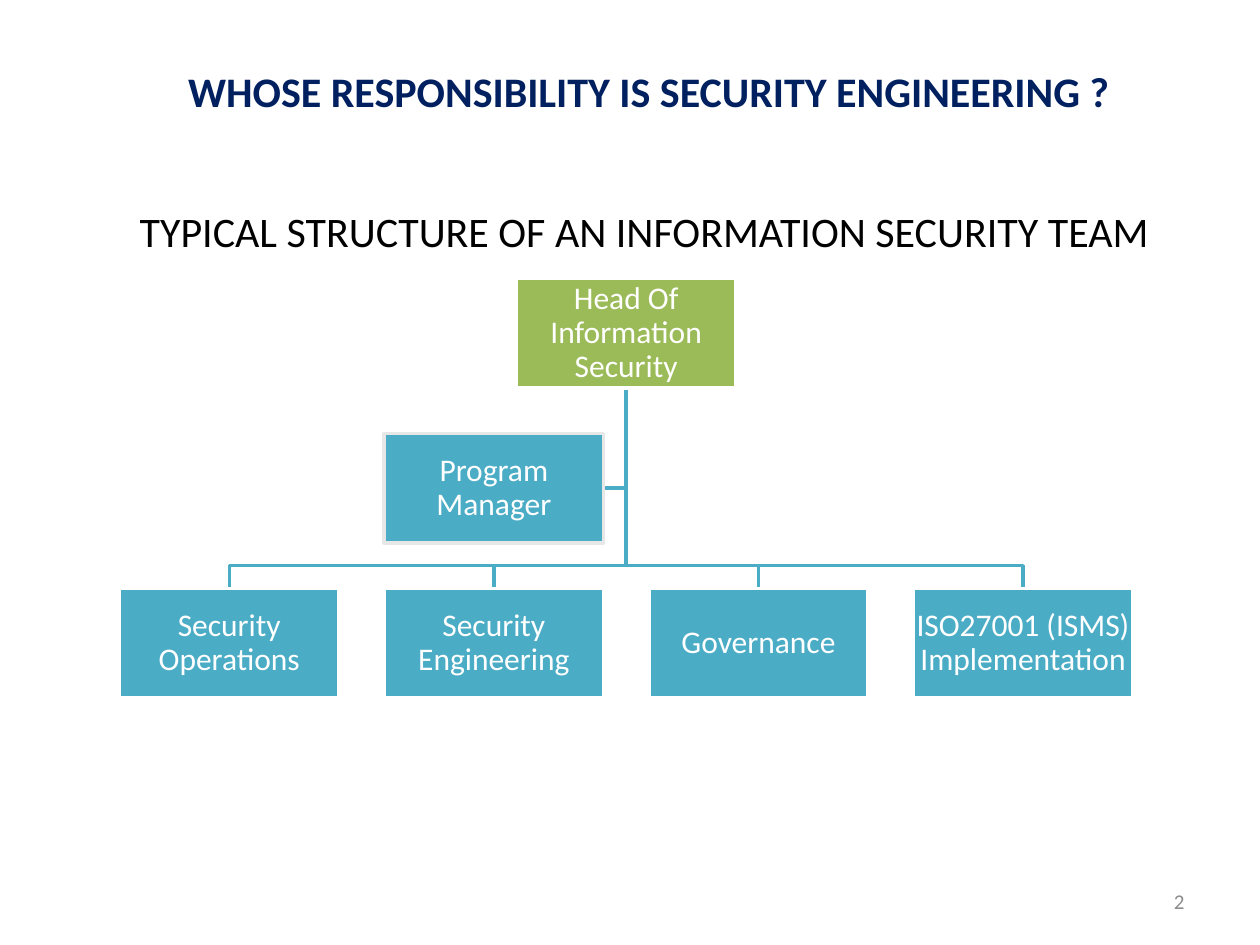
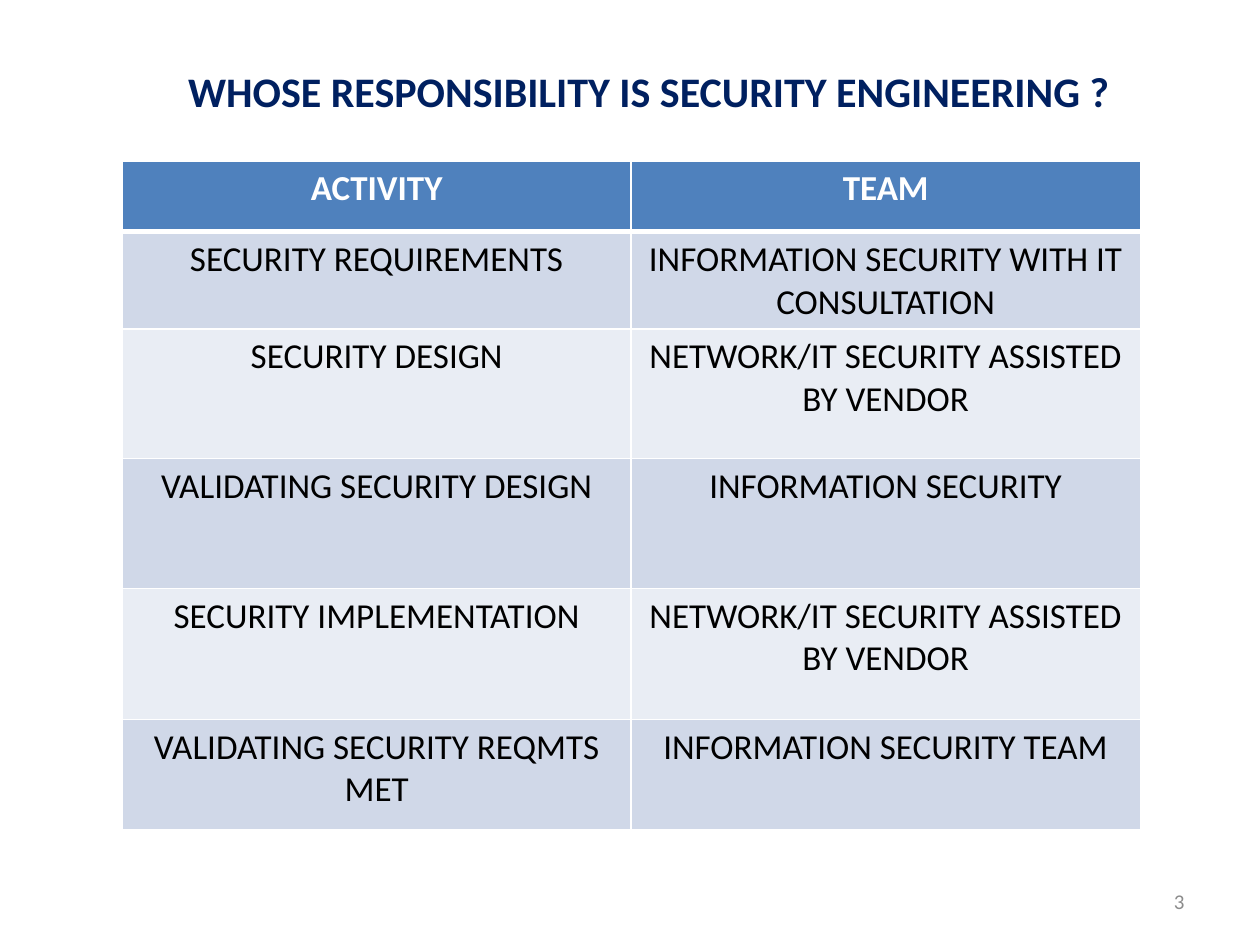
from lxml.etree import SubElement as Sub
from pptx import Presentation
from pptx.dml.color import RGBColor as RGB
from pptx.enum.shapes import MSO_SHAPE as Shape
from pptx.enum.text import MSO_ANCHOR as Anchor, PP_ALIGN as Align
from pptx.oxml.ns import qn
from pptx.util import Inches, Pt

TITLE = "WHOSE RESPONSIBILITY IS SECURITY ENGINEERING ?"
LEAD = "TYPICAL STRUCTURE OF AN INFORMATION SECURITY TEAM"
HEAD = "Head Of Information Security"
AIDE = "Program Manager"
TEAMS = ["Security Operations", "Security Engineering", "Governance",
         "ISO27001 (ISMS) Implementation"]
ROWS = [
    (0.56, "ACTIVITY", "TEAM"),
    (0.77, "SECURITY REQUIREMENTS", "INFORMATION SECURITY WITH IT CONSULTATION"),
    (1.03, "SECURITY DESIGN", "NETWORK/IT SECURITY ASSISTED BY VENDOR"),
    (1.03, "VALIDATING SECURITY DESIGN", "INFORMATION SECURITY"),
    (1.04, "SECURITY IMPLEMENTATION", "NETWORK/IT SECURITY ASSISTED BY VENDOR"),
    (0.88, "VALIDATING SECURITY REQMTS MET", "INFORMATION SECURITY TEAM"),
]

FONT = "Calibri"
NAVY = RGB(0x00, 0x20, 0x60)
BLACK = RGB(0, 0, 0)
WHITE = RGB(0xFF, 0xFF, 0xFF)
GRAY = RGB(0x8C, 0x8C, 0x8C)
PALE = RGB(0xE7, 0xE7, 0xE7)
GREEN = RGB(0x9B, 0xBB, 0x59)
TEAL = RGB(0x4B, 0xAC, 0xC6)
BLUE = RGB(0x4F, 0x81, 0xBD)
BANDS = [RGB(0xE9, 0xED, 0xF4), RGB(0xD0, 0xD8, 0xE8)]

BOX_W, BOX_H, STEP = 1.74, 0.87, 2.1
LEFT, HEAD_Y, AIDE_Y, TEAM_Y = 0.95, 2.21, 3.44, 4.67
BAR_Y = 4.49


def write(frame, text, size, color, align=Align.CENTER, bold=False):
    frame.text = text
    par = frame.paragraphs[0]
    par.alignment = align
    for run in par.runs:
        font = run.font
        font.name, font.size, font.bold = FONT, Pt(size), bold
        font.color.rgb = color


def add_text(slide, area, text, size, color, align=Align.CENTER,
             bold=False, anchor=Anchor.MIDDLE, wrap=True):
    frame = slide.shapes.add_textbox(*map(Inches, area)).text_frame
    frame.word_wrap = wrap
    frame.vertical_anchor = anchor
    write(frame, text, size, color, align, bold)


def add_page(deck, number):
    slide = deck.slides.add_slide(deck.slide_layouts[6])
    add_text(slide, (7.17, 6.95, 2.33, 0.4), str(number), 12, GRAY, Align.RIGHT)
    add_text(slide, (0.65, 0.23, 9, 0.98), TITLE, 24, NAVY, bold=True)
    return slide


def add_box(slide, x, y, text, fill=TEAL, edge=WHITE):
    box = slide.shapes.add_shape(
        Shape.RECTANGLE, *map(Inches, (x, y, BOX_W, BOX_H)))
    box.shadow.inherit = False
    box.fill.solid()
    box.fill.fore_color.rgb = fill
    box.line.color.rgb = edge
    box.line.width = Pt(2)
    frame = box.text_frame
    frame.word_wrap = True
    frame.vertical_anchor = Anchor.MIDDLE
    frame.margin_left = frame.margin_right = Inches(0.01)
    frame.margin_top = frame.margin_bottom = Inches(0.01)
    write(frame, text, 18, WHITE)
    frame.paragraphs[0].line_spacing = 0.9


def add_path(slide, points):
    first, *rest = [(Inches(x), Inches(y)) for x, y in points]
    pen = slide.shapes.build_freeform(*first)
    pen.add_line_segments(rest, close=False)
    path = pen.convert_to_shape()
    path.shadow.inherit = False
    path.fill.background()
    path.line.color.rgb = TEAL
    path.line.width = Pt(2)


def add_chart(slide):
    lefts = [LEFT + STEP * i for i in range(len(TEAMS))]
    head_x = (lefts[0] + lefts[-1]) / 2
    mid = head_x + BOX_W / 2
    top = HEAD_Y + BOX_H
    aide_x = lefts[1]
    aide_mid = AIDE_Y + BOX_H / 2
    add_path(slide, [(mid, top), (mid, aide_mid), (aide_x + BOX_W, aide_mid)])
    for x in lefts:
        end = x + BOX_W / 2
        add_path(slide, [(mid, top), (mid, BAR_Y), (end, BAR_Y), (end, TEAM_Y)])
    add_box(slide, head_x, HEAD_Y, HEAD, GREEN)
    for x, team in zip(lefts, TEAMS):
        add_box(slide, x, TEAM_Y, team)
    add_box(slide, aide_x, AIDE_Y, AIDE, edge=PALE)


def set_edges(cell, top, bottom):
    props = cell._tc.get_or_add_tcPr()
    for side, width in (("L", 1), ("R", 1), ("T", top), ("B", bottom)):
        line = Sub(props, qn("a:ln" + side), w=str(Pt(width)))
        Sub(Sub(line, qn("a:solidFill")), qn("a:srgbClr"), val=str(WHITE))


def add_grid(slide):
    high = sum(row[0] for row in ROWS)
    grid = slide.shapes.add_table(
        len(ROWS), 2, *map(Inches, (0.97, 1.28, 8.08, high))).table
    for col in grid.columns:
        col.width = Inches(4.04)
    for r, (tall, *texts) in enumerate(ROWS):
        grid.rows[r].height = Inches(tall)
        head = r == 0
        for c, text in enumerate(texts):
            cell = grid.cell(r, c)
            set_edges(cell, 3 if r == 1 else 1, 3 if head else 1)
            cell.fill.solid()
            cell.fill.fore_color.rgb = BLUE if head else BANDS[r % 2]
            write(cell.text_frame, text, 20, WHITE if head else BLACK, bold=head)


def main():
    deck = Presentation()
    deck.slide_width, deck.slide_height = Inches(10), Inches(7.5)
    team = add_page(deck, 2)
    add_chart(team)
    add_text(team, (1.01, 1.58, 8.28, 0.5), LEAD, 24, BLACK, Align.LEFT,
             anchor=Anchor.TOP, wrap=False)
    add_grid(add_page(deck, 3))
    deck.save("out.pptx")


if __name__ == "__main__":
    main()
